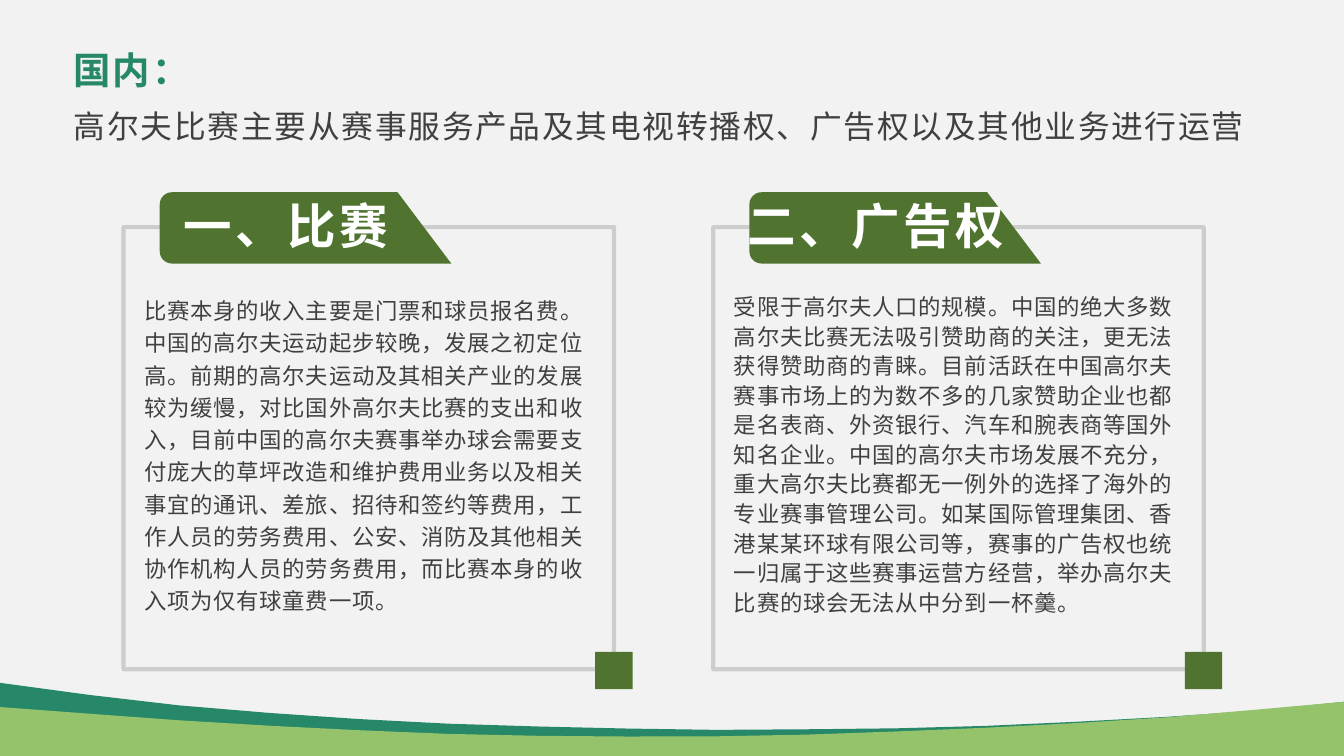
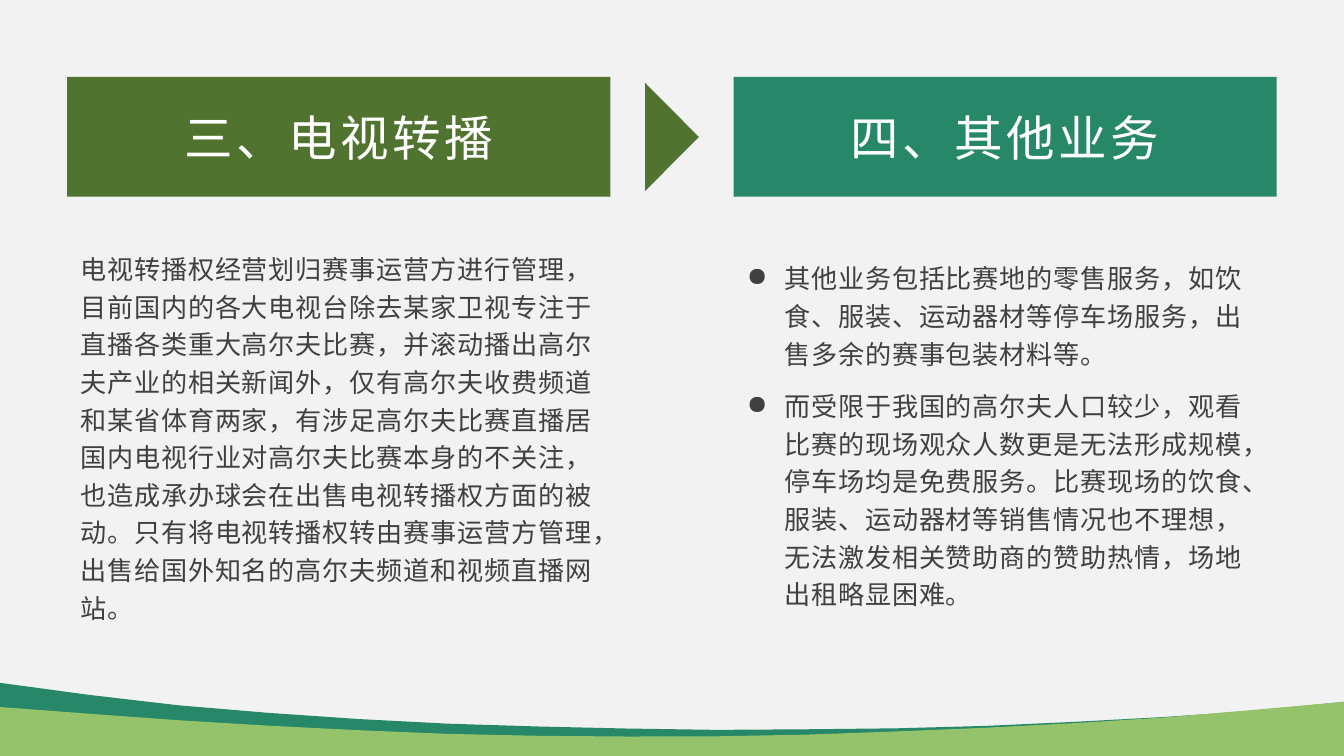
import math

import pptx
import pptx.dml.color
import pptx.enum.shapes
import pptx.enum.text
import pptx.oxml
import pptx.oxml.ns
import pptx.util

Pt = pptx.util.Pt
ALIGN = pptx.enum.text.PP_ALIGN
ANCHOR = pptx.enum.text.MSO_ANCHOR
RECTANGLE = pptx.enum.shapes.MSO_SHAPE.RECTANGLE

WIDTH, HEIGHT = 720, 405
COLOURS = {
    "paper": "F2F2F2",
    "teal": "268868",
    "lime": "95C36B",
    "moss": "50742F",
    "ink": "404040",
    "white": "FFFFFF",
    "frame": "000000",
}
EAST_ASIAN_FONT = "Noto Sans CJK SC"
LINE_RATIO = 1.2

# Text formats: font values, colour, letter spacing and line factor
BODY = {"name": "Arial", "colour": "ink", "spacing": 0.4, "after": 8}
CARD_BODY = {**BODY, "size": 12, "line": 1.2}
DENSE_BODY = {**CARD_BODY, "line": 1.1}
COLUMN_BODY = {**BODY, "size": 14, "line": 1.2}
BULLET_BODY = {**COLUMN_BODY, "bullet": "●", "indent": 20.16}
HEADING = {"name": "Arial", "size": 26, "colour": "white", "spacing": 1.8,
           "alignment": ALIGN.CENTER}
TAB_HEADING = {**HEADING, "bold": True}
TITLE = {"name": EAST_ASIAN_FONT, "size": 20, "bold": True, "colour": "teal",
         "spacing": 0.9, "after": 8, "line": 1, "alignment": ALIGN.LEFT}
SUBTITLE = {**TITLE, "size": 17, "bold": False, "colour": "ink"}

# Wave heights at equal steps across the page
WAVES = {
    "teal": [365.8, 372.3, 377.9, 381.9, 385.2, 387.7, 389.2, 390.3,
             391, 390.7, 390.2, 388.9, 386.7, 384.1, 380.8, 376],
    "lime": [378.8, 382.4, 385.9, 388.8, 391.2, 393.2, 394.2, 394.6,
             394.5, 393.6, 391.9, 389.9, 387.4, 384.4, 380.3, 376],
}

TITLE_LINES = [
    ("国内：", TITLE),
    ("高尔夫比赛主要从赛事服务产品及其电视转播权、广告权以及其他业务进行运营", SUBTITLE),
]
MATCH_TEXT = (
    "比赛本身的收入主要是门票和球员报名费。中国的高尔夫运动起步较晚，发展之初定位高。"
    "前期的高尔夫运动及其相关产业的发展较为缓慢，对比国外高尔夫比赛的支出和收入，"
    "目前中国的高尔夫赛事举办球会需要支付庞大的草坪改造和维护费用业务以及相关事宜的通讯、"
    "差旅、招待和签约等费用，工作人员的劳务费用、公安、消防及其他相关协作机构人员的劳务费用，"
    "而比赛本身的收入项为仅有球童费一项。"
)
ADVERT_TEXT = (
    "受限于高尔夫人口的规模。中国的绝大多数高尔夫比赛无法吸引赞助商的关注，"
    "更无法获得赞助商的青睐。目前活跃在中国高尔夫赛事市场上的为数不多的几家赞助企业也都是"
    "名表商、外资银行、汽车和腕表商等国外知名企业。中国的高尔夫市场发展不充分，"
    "重大高尔夫比赛都无一例外的选择了海外的专业赛事管理公司。如某国际管理集团、"
    "香港某某环球有限公司等，赛事的广告权也统一归属于这些赛事运营方经营，"
    "举办高尔夫比赛的球会无法从中分到一杯羹。"
)
BROADCAST_TEXT = (
    "电视转播权经营划归赛事运营方进行管理，目前国内的各大电视台除去某家卫视专注于"
    "直播各类重大高尔夫比赛，并滚动播出高尔夫产业的相关新闻外，仅有高尔夫收费频道"
    "和某省体育两家，有涉足高尔夫比赛直播居国内电视行业对高尔夫比赛本身的不关注，"
    "也造成承办球会在出售电视转播权方面的被动。只有将电视转播权转由赛事运营方管理，"
    "出售给国外知名的高尔夫频道和视频直播网站。"
)
OTHER_TEXTS = [
    "其他业务包括比赛地的零售服务，如饮食、服装、运动器材等停车场服务，"
    "出售多余的赛事包装材料等。",
    "而受限于我国的高尔夫人口较少，观看比赛的现场观众人数更是无法形成规模，"
    "停车场均是免费服务。比赛现场的饮食、服装、运动器材等销售情况也不理想，"
    "无法激发相关赞助商的赞助热情，场地出租略显困难。",
]


def rgb(name):
    return pptx.dml.color.RGBColor.from_string(COLOURS[name])


def points(*lengths):
    return [Pt(length) for length in lengths]


def paint(shape, colour):
    """Fill a shape flat, without outline or shadow."""
    shape.shadow.inherit = False
    shape.fill.solid()
    shape.fill.fore_color.rgb = rgb(colour)
    shape.line.fill.background()
    return shape


def add_rectangle(page, left, top, width, height, colour):
    shape = page.shapes.add_shape(RECTANGLE, *points(left, top, width, height))
    return paint(shape, colour)


def add_outline(page, corners, colour):
    corners = [tuple(points(*corner)) for corner in corners]
    builder = page.shapes.build_freeform(*corners[0])
    builder.add_line_segments(corners[1:], close=True)
    return paint(builder.convert_to_shape(), colour)


def add_bullet(para, mark, indent):
    properties = para._p.get_or_add_pPr()
    properties.set("marL", str(Pt(indent)))
    properties.set("indent", str(-Pt(indent)))
    bullet = pptx.oxml.parse_xml(
        f'<a:buChar {pptx.oxml.ns.nsdecls("a")} char="{mark}"/>')
    properties.append(bullet)


def format_span(span, style):
    for key in ("name", "size", "bold"):
        if key in style:
            value = Pt(style[key]) if key == "size" else style[key]
            setattr(span.font, key, value)
    span.font.color.rgb = rgb(style["colour"])
    properties = span._r.get_or_add_rPr()
    properties.set("spc", str(round(style["spacing"] * 100)))
    latin = properties.find(pptx.oxml.ns.qn("a:latin"))
    latin.addnext(pptx.oxml.parse_xml(
        f'<a:ea {pptx.oxml.ns.nsdecls("a")} typeface="{EAST_ASIAN_FONT}"/>'))


def write(shape, lines, anchor=ANCHOR.MIDDLE, insets=(7.2, 3.6)):
    """Write (text, style) pairs as the paragraphs of a shape."""
    frame = shape.text_frame
    side, edge = points(*insets)
    settings = {"word_wrap": True, "auto_size": pptx.enum.text.MSO_AUTO_SIZE.NONE,
                "vertical_anchor": anchor, "margin_left": side,
                "margin_right": side, "margin_top": edge, "margin_bottom": edge}
    for key, value in settings.items():
        setattr(frame, key, value)
    for index, (text, style) in enumerate(lines):
        para = frame.add_paragraph() if index else frame.paragraphs[0]
        para.alignment = style.get("alignment", ALIGN.LEFT)
        para.space_after = Pt(style.get("after", 0))
        if "line" in style:
            para.line_spacing = Pt(style["size"] * LINE_RATIO * style["line"])
        if "bullet" in style:
            add_bullet(para, style["bullet"], style["indent"])
        span = para.add_run()
        span.text = text
        format_span(span, style)


def add_text(page, box, lines, anchor=ANCHOR.MIDDLE):
    write(page.shapes.add_textbox(*points(*box)), lines, anchor)


def add_page(deck, layout_name):
    """Add a page with the two waves along its foot."""
    page = deck.slides.add_slide(deck.slide_layouts.get_by_name(layout_name))
    for colour, heights in WAVES.items():
        step = WIDTH / (len(heights) - 1)
        crest = [(index * step, height) for index, height in enumerate(heights)]
        add_outline(page, crest + [(WIDTH, HEIGHT), (0, HEIGHT)], colour)
    return page


def add_tab(page, left, top):
    """Slanted tab with rounded left corners."""
    width, height, slant, radius = 156.2, 38.2, 28.8, 6.5
    corners = [(left + width - slant, top), (left + width, top + height)]
    for middle, start in ((top + height - radius, 90), (top + radius, 180)):
        for angle in range(start, start + 91, 15):
            turn = math.radians(angle)
            corners.append((left + radius + radius * math.cos(turn),
                            middle + radius * math.sin(turn)))
    add_outline(page, corners, "moss")


def add_card(page, left, top, heading, text, style):
    """Framed text with a tab above and a square at the lower right."""
    frame = page.shapes.add_shape(RECTANGLE, *points(left, top, 262.8, 236.9))
    frame.shadow.inherit = False
    frame.fill.background()
    frame.line.width = Pt(2.25)
    frame.line.color.rgb = rgb("frame")
    colour = frame.line._ln.find(".//" + pptx.oxml.ns.qn("a:srgbClr"))
    colour.append(pptx.oxml.parse_xml(
        f'<a:alpha {pptx.oxml.ns.nsdecls("a")} val="15000"/>'))
    add_rectangle(page, left + 252.7, top + 227.5, 20, 20, "moss")
    add_text(page, (left + 4, top + 24.5, 255.6, 193), [(text, style)])
    add_tab(page, left + 19.4, top - 18.7)
    add_text(page, (left + 6.5, top - 22.3, 161.3, 41.8), [(heading, TAB_HEADING)])


def add_column(page, left, top, colour, heading, drop, lines):
    """Coloured heading bar with text below it."""
    width = 291
    bar = add_rectangle(page, left, top, width, 64.2, colour)
    write(bar, [(heading, HEADING)])
    add_text(page, (left, top + drop, width, 235.4), lines, ANCHOR.TOP)


def build_cards_page(deck):
    page = add_page(deck, "Title Only")
    title = page.shapes.title
    title.left, title.top, title.width, title.height = points(36, 21.6, 648, 59.8)
    write(title, TITLE_LINES, insets=(3.6, 1.44))
    add_card(page, 66.2, 121.7, "一、比赛", MATCH_TEXT, CARD_BODY)
    add_card(page, 382.1, 121.7, "二、广告权", ADVERT_TEXT, DENSE_BODY)


def build_columns_page(deck):
    page = add_page(deck, "Blank")
    add_column(page, 36, 41.2, "moss", "三、电视转播", 87.7,
               [(BROADCAST_TEXT, COLUMN_BODY)])
    # Arrow between the heading bars
    add_outline(page, [(345.6, 44.4), (374.4, 73.4), (345.6, 102.4)], "moss")
    add_column(page, 393, 41.2, "teal", "四、其他业务", 92.7,
               [(text, BULLET_BODY) for text in OTHER_TEXTS])


def main():
    deck = pptx.Presentation()
    deck.slide_width, deck.slide_height = points(WIDTH, HEIGHT)
    paper = deck.slide_master.background.fill
    paper.solid()
    paper.fore_color.rgb = rgb("paper")
    build_cards_page(deck)
    build_columns_page(deck)
    deck.save("out.pptx")


if __name__ == "__main__":
    main()
